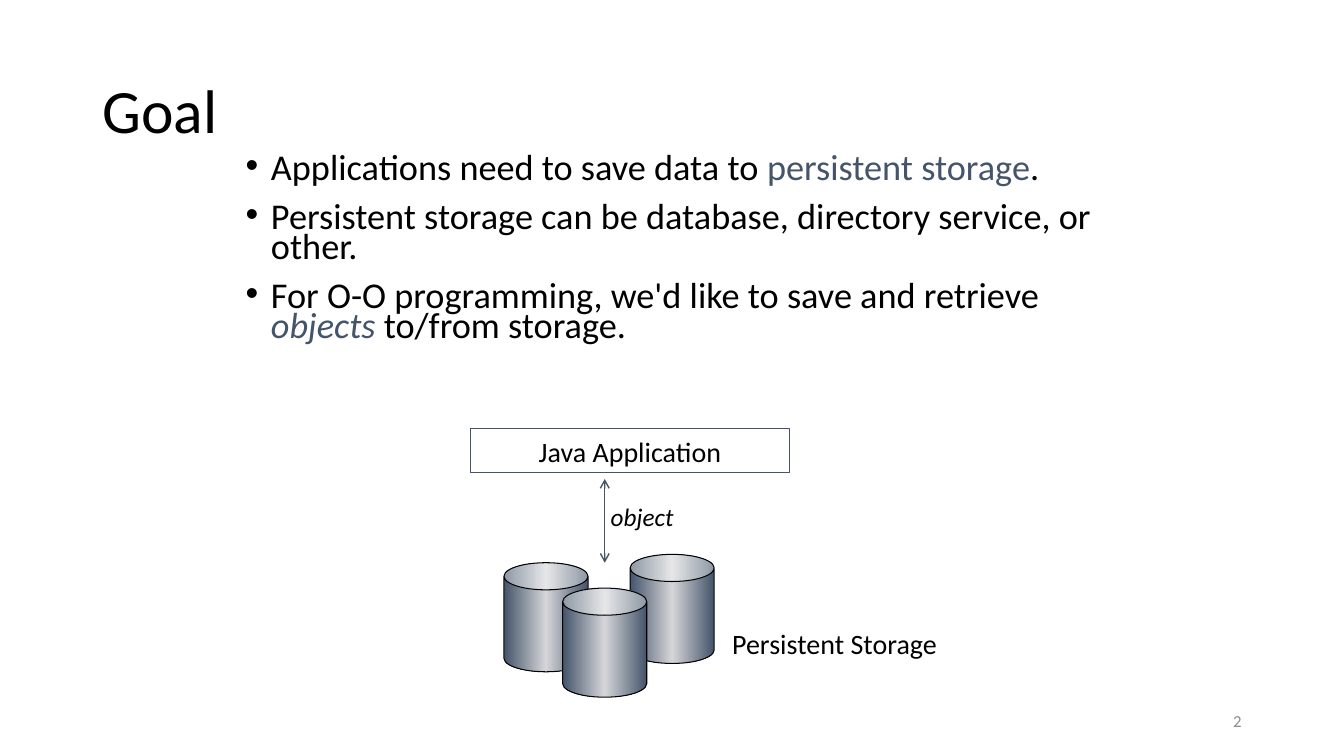
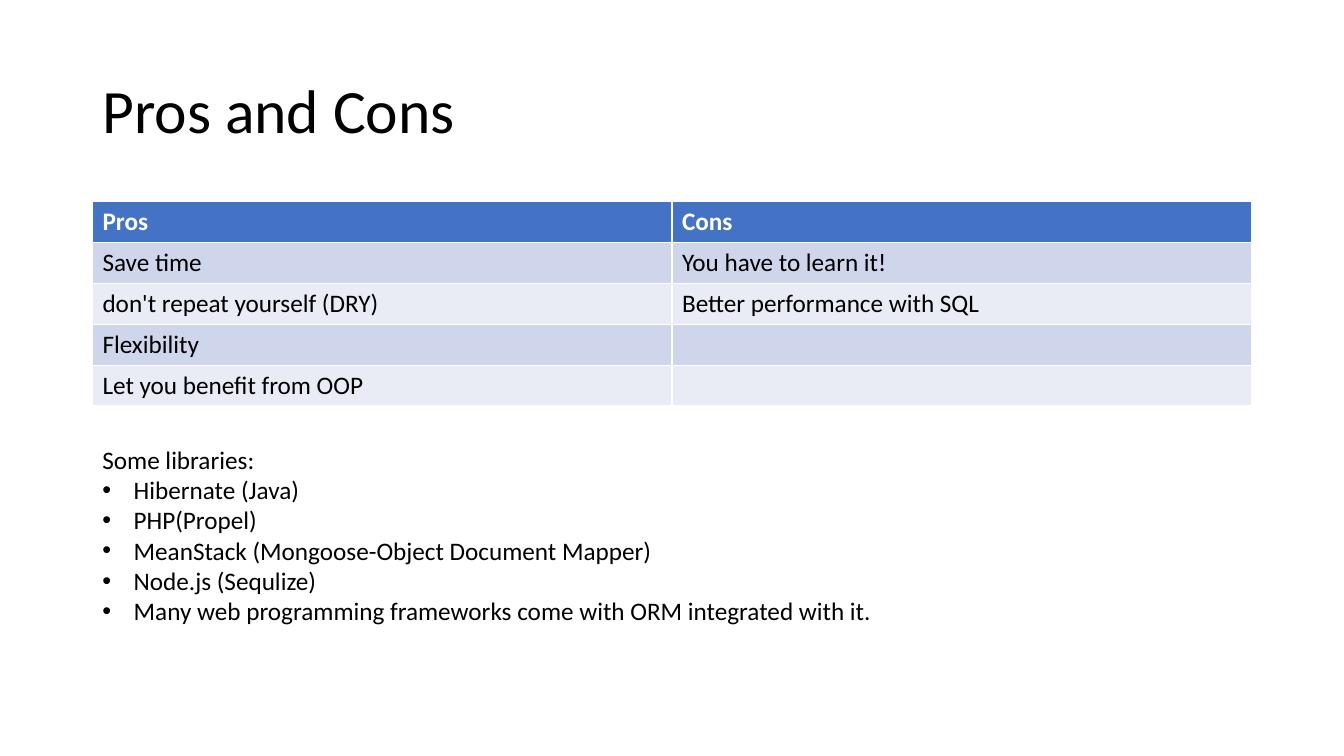
from lxml import etree
from pptx import Presentation
from pptx.dml.color import RGBColor
from pptx.enum.shapes import MSO_CONNECTOR, MSO_SHAPE
from pptx.enum.text import MSO_ANCHOR, PP_ALIGN
from pptx.oxml.ns import qn
from pptx.util import Cm, Pt

BLACK = RGBColor(0x00, 0x00, 0x00)
WHITE = RGBColor(0xFF, 0xFF, 0xFF)
SLATE = RGBColor(0x44, 0x54, 0x6A)
SILVER = RGBColor(0xD5, 0xD6, 0xD9)
GREY = RGBColor(0x8C, 0x8C, 0x8C)
HEADER = RGBColor(0x44, 0x72, 0xC4)
BANDS = (RGBColor(0xCF, 0xD5, 0xEA), RGBColor(0xE9, 0xEB, 0xF5))
FONT = "Calibri"

LEFT, CENTER, RIGHT = PP_ALIGN.LEFT, PP_ALIGN.CENTER, PP_ALIGN.RIGHT
TOP, MIDDLE = MSO_ANCHOR.TOP, MSO_ANCHOR.MIDDLE
RECT, CAN = MSO_SHAPE.RECTANGLE, MSO_SHAPE.CAN
STRAIGHT = MSO_CONNECTOR.STRAIGHT

MARGIN, CONTENT_W = 2.33, 29.21
ROW_H = 1.03
CAN_W, CAN_H = 2.12, 2.75


def add_run(p, text, size, color=BLACK, bold=False, italic=False):
    r = p.add_run()
    r.text = text
    r.font.color.rgb = color
    formats = {"name": FONT, "size": Pt(size), "bold": bold, "italic": italic}
    for name, value in formats.items():
        setattr(r.font, name, value)


def add_bullet(p, indent):
    """Give the paragraph a hanging bullet; indent is in cm."""
    pPr = p._p.get_or_add_pPr()
    pPr.set("marL", str(Cm(indent)))
    pPr.set("indent", str(-Cm(indent)))
    etree.SubElement(pPr, qn("a:buFont"), typeface="Arial")
    etree.SubElement(pPr, qn("a:buChar"), char="•")


def add_text_box(s, box, anchor=TOP):
    tf = s.shapes.add_textbox(*map(Cm, box)).text_frame
    tf.word_wrap = True
    tf.vertical_anchor = anchor
    return tf


def add_label(s, box, text, size, align=LEFT, anchor=TOP, **style):
    p = add_text_box(s, box, anchor).paragraphs[0]
    p.alignment = align
    add_run(p, text, size, **style)
    return p


def add_title(s, text):
    box = (MARGIN, 1.01, CONTENT_W, 3.68)
    add_label(s, box, text, 44, anchor=MIDDLE).line_spacing = 0.9


def add_page_number(s, number):
    add_label(s, (23.92, 17.65, 7.62, 1.02), str(number), 12, RIGHT, MIDDLE,
              color=GREY)


def add_goals(s, goals):
    """Each goal is a list of (text, style) runs."""
    tf = add_text_box(s, (5.94, 3.81, 22, 5.28))
    for i, runs in enumerate(goals):
        p = tf.add_paragraph() if i else tf.paragraphs[0]
        p.line_spacing = 0.7
        p.space_before = Pt(13 if i else 10)
        add_bullet(p, 0.64)
        for text, style in runs:
            add_run(p, text, 25.9, **style)


def add_outlined(s, kind, box, line_color):
    sp = s.shapes.add_shape(kind, *map(Cm, box))
    sp.shadow.inherit = False
    sp.line.color.rgb = line_color
    sp.line.width = Pt(0.75)
    return sp


def add_app_box(s, box, text):
    sp = add_outlined(s, RECT, box, SLATE)
    sp.fill.background()
    sp.text_frame.vertical_anchor = MIDDLE
    p = sp.text_frame.paragraphs[0]
    p.alignment = CENTER
    add_run(p, text, 20)


def add_storage_can(s, x, y):
    sp = add_outlined(s, CAN, (x, y, CAN_W, CAN_H), BLACK)
    sp.adjustments[0] = 0.323
    sp.fill.gradient()
    sp.fill.gradient_angle = 0
    stops = next(sp._element.iter(qn("a:gsLst")))
    for stop in list(stops):
        stops.remove(stop)
    for percent, color in ((0, SLATE), (50, SILVER), (100, SLATE)):
        stop = etree.SubElement(stops, qn("a:gs"), pos=str(percent * 1000))
        etree.SubElement(stop, qn("a:srgbClr"), val=str(color))


def add_double_arrow(s, x, y1, y2):
    line = s.shapes.add_connector(STRAIGHT, Cm(x), Cm(y1), Cm(x), Cm(y2))
    line.line.color.rgb = SLATE
    line.line.width = Pt(1)
    ln = line.line._get_or_add_ln()
    for end in ("a:headEnd", "a:tailEnd"):
        etree.SubElement(ln, qn(end), type="arrow")
    etree.SubElement(line._element.spPr, qn("a:effectLst"))


def add_banded_table(s, top, rows):
    n_rows, n_cols = len(rows), len(rows[0])
    box = (MARGIN, top, CONTENT_W, ROW_H * n_rows)
    table = s.shapes.add_table(n_rows, n_cols, *map(Cm, box)).table
    for i, row in enumerate(rows):
        for j, text in enumerate(row):
            cell = table.cell(i, j)
            cell.fill.solid()
            cell.fill.fore_color.rgb = BANDS[(i - 1) % 2] if i else HEADER
            if text:
                add_run(cell.text_frame.paragraphs[0], text, 18,
                        color=BLACK if i else WHITE, bold=i == 0)


def add_list(s, box, heading, items):
    tf = add_text_box(s, box)
    add_run(tf.paragraphs[0], heading, 18)
    for item in items:
        p = tf.add_paragraph()
        add_bullet(p, 0.79)
        add_run(p, item, 18)


def build_goal(s):
    add_title(s, "Goal")
    add_goals(s, [
        [("Applications need to save data to ", {}),
         ("persistent storage", {"color": SLATE}),
         (".", {})],
        [("Persistent storage can be database, directory service, or other.", {})],
        [("For O-O programming, we'd like to save and retrieve ", {}),
         ("objects", {"color": SLATE, "italic": True}),
         (" to/from storage.", {})],
    ])
    add_app_box(s, (11.85, 10.8, 8.05, 1.12), "Java Application")
    for x, y in ((12.7, 14.18), (15.88, 13.97), (14.18, 14.82)):
        add_storage_can(s, x, y)
    add_double_arrow(s, 15.24, 12.07, 14.18)
    add_label(s, (15.14, 12.5, 3.6, 1.02), "object", 18, italic=True)
    add_label(s, (18.2, 15.67, 7.2, 1.09), "Persistent Storage", 20)
    add_page_number(s, 2)


def build_pros_and_cons(s):
    add_title(s, "Pros and Cons")
    add_banded_table(s, 5.08, [
        ("Pros", "Cons"),
        ("Save time", "You have to learn it!"),
        ("don't repeat yourself (DRY)", "Better performance with SQL"),
        ("Flexibility", ""),
        ("Let you benefit from OOP", ""),
    ])
    add_list(s, (MARGIN, 11.07, 28.37, 4.88), "Some libraries:", [
        "Hibernate (Java)",
        "PHP(Propel)",
        "MeanStack (Mongoose-Object Document Mapper)",
        "Node.js (Sequlize)",
        "Many web programming frameworks come with ORM integrated with it.",
    ])


def main():
    prs = Presentation()
    prs.slide_width, prs.slide_height = Cm(33.87), Cm(19.05)
    blank = prs.slide_layouts[6]
    for build in (build_goal, build_pros_and_cons):
        build(prs.slides.add_slide(blank))
    prs.save("out.pptx")


if __name__ == "__main__":
    main()
